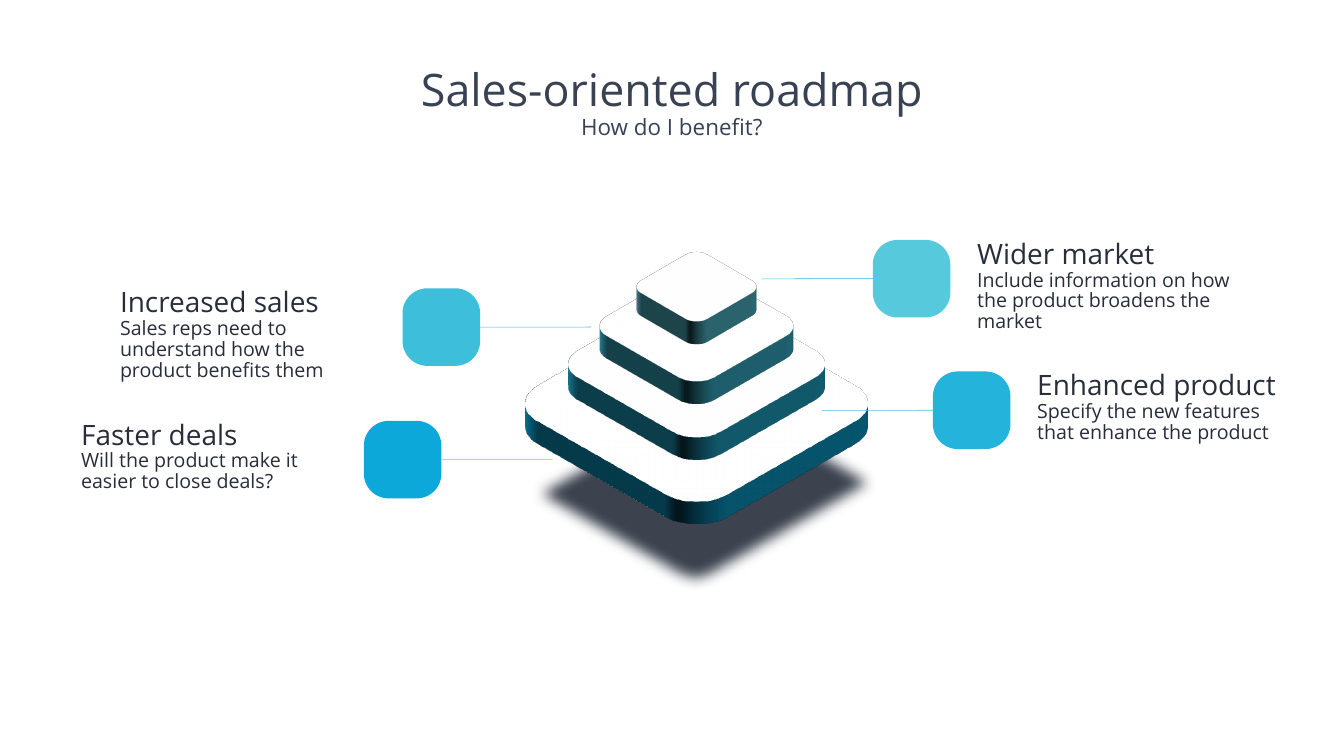
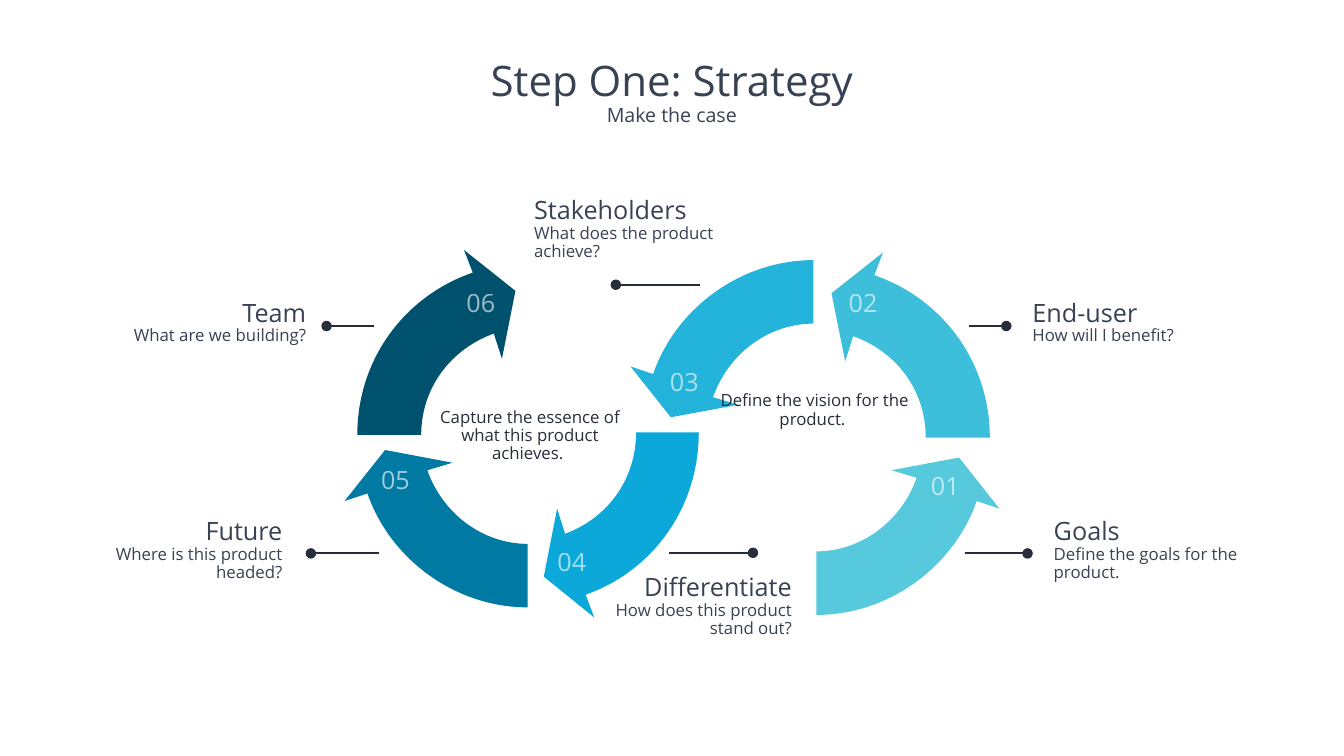
"""Build two roadmap slides: a layered pyramid and a six-arrow strategy loop."""
from pptx import Presentation
from pptx.dml.color import RGBColor
from pptx.enum.shapes import MSO_CONNECTOR, MSO_SHAPE
from pptx.enum.text import MSO_ANCHOR, MSO_AUTO_SIZE, PP_ALIGN
from pptx.oxml import parse_xml
from pptx.oxml.ns import nsdecls, qn
from pptx.util import Cm, Pt
from lxml.etree import SubElement

FONT = "Open Sans"
COLORS = {
    "ink": "272E3A", "slate": "384253", "white": "FFFFFF",
    "aqua": "56CADC", "sky": "3DBEDB", "azure": "24B3DA", "blue": "0CA8DA",
    "deep": "007AA3", "navy": "00516D", "aqua line": "49C4DB", "azure line": "31B9DB",
}
LEFT, CENTER, RIGHT = PP_ALIGN.LEFT, PP_ALIGN.CENTER, PP_ALIGN.RIGHT

# Positions are in inches and become Cm lengths when placed.
ROADMAP_TITLE = [("Sales-oriented roadmap", 64), ("How do I benefit?", 32)]
STRATEGY_TITLE = [("Step One: Strategy", 60), ("Make the case", 28)]

BENEFITS = [
    ("Faster deals", "Will the product make it easier to close deals?",
     7.22, 8.35, "left", "blue", "aqua"),
    ("Enhanced product", "Specify the new features that enhance the product",
     18.51, 7.37, "right", "azure", "aqua line"),
    ("Wider market", "Include information on how the product broadens the market",
     17.32, 4.76, "right", "aqua", "azure line"),
    ("Increased sales", "Sales reps need to understand how the product benefits them",
     7.99, 5.72, "left", "sky", "sky"),
]
ICON_SIDE, LEADER_REACH, BENEFIT_WIDTH = 1.54, 2.2, 6.14

PYRAMID_CENTER = 13.82
BASE_TIER = (5.34, 5.32, "blue")
UPPER_TIERS = [(5.22, 3.99, "azure"), (4.96, 3, "sky"), (4.76, 1.86, "aqua")]
TIER_DEPTH = 500000
SHADOW_PLATE = (11.06, 7.02, 5.85, 5.32)

LOW_ARROW = [
    [(0, 0)], [(0.8, 1.01)], [(0.35, 0.86)],
    [(-0.1, 2.16), (-1.39, 3.12), (-2.83, 3.12)], [(-2.83, 1.86)],
    [(-1.94, 1.86), (-1.14, 1.26), (-0.84, 0.4)], [(-1.34, 0.25)],
]
HIGH_ARROW = [
    [(0, 0)], [(1.02, -0.81)], [(0.85, -0.36)],
    [(2.19, 0.1), (3.14, 1.35), (3.14, 2.86)], [(1.87, 2.86)],
    [(1.87, 1.91), (1.27, 1.15), (0.43, 0.85)], [(0.27, 1.35)],
]
STEPS = [
    ("01", LOW_ARROW, (19.03, 9.08), (1, 1), "aqua", (18.23, 9.28)),
    ("02", HIGH_ARROW, (16.5, 5.82), (1, 1), "sky", (16.6, 5.65)),
    ("03", LOW_ARROW, (13.31, 8.28), (-1, -1), "azure", (13.05, 7.22)),
    ("04", HIGH_ARROW, (10.79, 11.44), (0.98, -1), "blue", (10.82, 10.8)),
    ("05", LOW_ARROW, (7.64, 8.93), (-1, 1), "deep", (7.32, 9.17)),
    ("06", HIGH_ARROW, (10.23, 5.77), (-1, 1), "navy", (9.01, 5.65)),
]
LOOP_CAPTIONS = [
    ("Capture the essence of what this product achieves. ", 8.46, 7.66),
    ("Define the vision for the product. ", 14.11, 7.16),
]
TOPICS = [
    ("Goals", "Define the goals for the product.", 20.81, 10.24, 1.36, LEFT, 19.14, 20.39, 10.98),
    ("End-user", "How will I benefit?", 20.39, 5.91, 1, LEFT, 19.23, 19.97, 6.47),
    ("Future", "Where is this product headed?", 1.43, 10.24, 1.36, RIGHT, 7.52, 6.17, 10.98),
    ("Team", "What are we building?", 1.9, 5.91, 1, RIGHT, 7.43, 6.48, 6.47),
    ("Stakeholders", "What does the product achieve?", 10.5, 3.87, 1.36, LEFT, 13.88, 12.22, 5.65),
    ("Differentiate", "How does this product stand out?", 11.54, 11.36, 1.36, RIGHT, 13.28, 14.94, 10.97),
]
TOPIC_WIDTH = 4.27


def cm(inches):
    return Cm(round(inches * 2.54, 2))


def rgb(name):
    return RGBColor.from_string(COLORS[name])


def write(frame, lines, color, align=LEFT, anchor=MSO_ANCHOR.TOP, spacing=0.9, grow=False):
    frame.word_wrap = True
    frame.auto_size = MSO_AUTO_SIZE.SHAPE_TO_FIT_TEXT if grow else MSO_AUTO_SIZE.NONE
    frame.vertical_anchor = anchor
    for index, (words, size) in enumerate(lines):
        paragraph = frame.add_paragraph() if index else frame.paragraphs[0]
        paragraph.alignment = align
        paragraph.line_spacing = spacing
        paragraph.space_before = Pt(0)
        run = paragraph.add_run()
        run.text = words
        run.font.name = FONT
        run.font.size = Pt(size)
        run.font.color.rgb = rgb(color)


def add_text(slide, at, lines, color, **options):
    frame = slide.shapes.add_textbox(*map(cm, at)).text_frame
    write(frame, lines, color, **options)
    return frame


def add_titled_slide(deck, lines, at):
    slide = deck.slides.add_slide(deck.slide_layouts[5])
    title = slide.shapes.title
    title.left, title.top, title.width, title.height = map(cm, at)
    write(title.text_frame, lines, "slate", align=CENTER)
    return slide


def paint(shape, color):
    shape.shadow.inherit = False
    shape.fill.solid()
    shape.fill.fore_color.rgb = rgb(color)
    shape.line.fill.background()


def add_rounded(slide, at, color):
    shape = slide.shapes.add_shape(MSO_SHAPE.ROUNDED_RECTANGLE, *map(cm, at))
    paint(shape, color)
    return shape


def add_line(slide, start, end, color, width):
    line = slide.shapes.add_connector(MSO_CONNECTOR.STRAIGHT, *map(cm, start + end))
    line.line.color.rgb = rgb(color)
    line.line.width = Pt(width)
    SubElement(line._element.spPr, qn("a:effectLst"))
    return line


def lay_flat(shape, depth, side_color):
    properties = shape._element.spPr
    properties.append(parse_xml(
        f'<a:scene3d {nsdecls("a")}><a:camera prst="isometricTopUp"/>'
        '<a:lightRig rig="threePt" dir="t"/></a:scene3d>'))
    properties.append(parse_xml(
        f'<a:sp3d {nsdecls("a")} extrusionH="{depth}"><a:extrusionClr>'
        f'<a:srgbClr val="{COLORS[side_color]}"/></a:extrusionClr></a:sp3d>'))


def add_tier(slide, top, side, color):
    tier = add_rounded(slide, (PYRAMID_CENTER - side / 2, top, side, side), "white")
    tier.line.color.rgb = rgb(color)
    tier.line.width = Pt(29.75)
    lay_flat(tier, TIER_DEPTH, color)


def add_pyramid_shadow(slide):
    plate = add_rounded(slide, SHADOW_PLATE, "ink")
    effects = plate._element.spPr.find(qn("a:effectLst"))
    SubElement(effects, qn("a:softEdge"), rad="254000")
    lay_flat(plate, 12700, "ink")


def add_benefit(slide, heading, detail, left, top, side, color, line_color):
    icon = add_rounded(slide, (left, top, ICON_SIDE, ICON_SIDE), color)
    icon.adjustments[0] = 0.32
    middle = top + ICON_SIDE / 2
    if side == "left":
        text_left, edge, site = left - BENEFIT_WIDTH, left + ICON_SIDE, 3
        reach = edge + LEADER_REACH
    else:
        text_left, edge, site = left + ICON_SIDE, left, 1
        reach = edge - LEADER_REACH
    leader = add_line(slide, (edge, middle), (reach, middle), line_color, 0.75)
    leader.begin_connect(icon, site)
    frame = add_text(slide, (text_left, top - 0.04, BENEFIT_WIDTH, 1.62),
                     [(heading, 40), (detail, 28)], "ink", spacing=0.89, grow=True)
    frame.margin_left = frame.margin_right = cm(0.53)
    frame.margin_bottom = cm(0.13)


def bend(arrow, outline):
    steps = list(arrow._element.spPr.find(".//" + qn("a:path")))
    position = 0
    for segment in outline:
        if len(segment) == 3:
            first, *others = steps[position:position + 3]
            first.tag = qn("a:cubicBezTo")
            for step in others:
                first.append(step[0])
                step.getparent().remove(step)
        position += len(segment)


def add_arrow(slide, outline, tip, scales, color):
    corners = [tuple(cm(origin + scale * offset)
                     for origin, scale, offset in zip(tip, scales, point))
               for segment in outline for point in segment]
    builder = slide.shapes.build_freeform(*corners[0])
    builder.add_line_segments(corners[1:], close=True)
    arrow = builder.convert_to_shape()
    paint(arrow, color)
    bend(arrow, outline)


def add_step(slide, number, outline, tip, scales, color, label_at):
    add_arrow(slide, outline, tip, scales, color)
    frame = add_text(slide, (*label_at, 1.06, 0.71), [(number, 36)], "white",
                     align=CENTER, spacing=1.0, grow=True)
    tint = frame.paragraphs[0].runs[0]._r.find(".//" + qn("a:srgbClr"))
    SubElement(tint, qn("a:alpha"), val="62000")


def add_topic(slide, heading, detail, left, top, height, align, start, end, level):
    pointer = add_line(slide, (start, level), (end, level), "ink", 3)
    SubElement(pointer.line._get_or_add_ln(), qn("a:tailEnd"), type="oval", w="lg", len="lg")
    add_text(slide, (left, top, TOPIC_WIDTH, height), [(heading, 36), (detail, 24)], "slate",
             align=align, anchor=MSO_ANCHOR.MIDDLE, spacing=0.89, grow=True)


def build_roadmap(deck):
    slide = add_titled_slide(deck, ROADMAP_TITLE, (5.79, 1.29, 15.08, 1.7))
    add_pyramid_shadow(slide)
    add_tier(slide, *BASE_TIER)
    for benefit in BENEFITS:
        add_benefit(slide, *benefit)
    for tier in UPPER_TIERS:
        add_tier(slide, *tier)


def build_strategy(deck):
    slide = add_titled_slide(deck, STRATEGY_TITLE, (9.33, 1.15, 8, 1.48))
    for step in STEPS:
        add_step(slide, *step)
    for caption, left, top in LOOP_CAPTIONS:
        add_text(slide, (left, top, 4.11, 1.97), [(caption, 24)], "ink",
                 align=CENTER, anchor=MSO_ANCHOR.MIDDLE)
    for topic in TOPICS:
        add_topic(slide, *topic)


def main():
    deck = Presentation()
    deck.slide_width, deck.slide_height = cm(26.67), cm(15)
    build_roadmap(deck)
    build_strategy(deck)
    deck.save("out.pptx")


if __name__ == "__main__":
    main()
